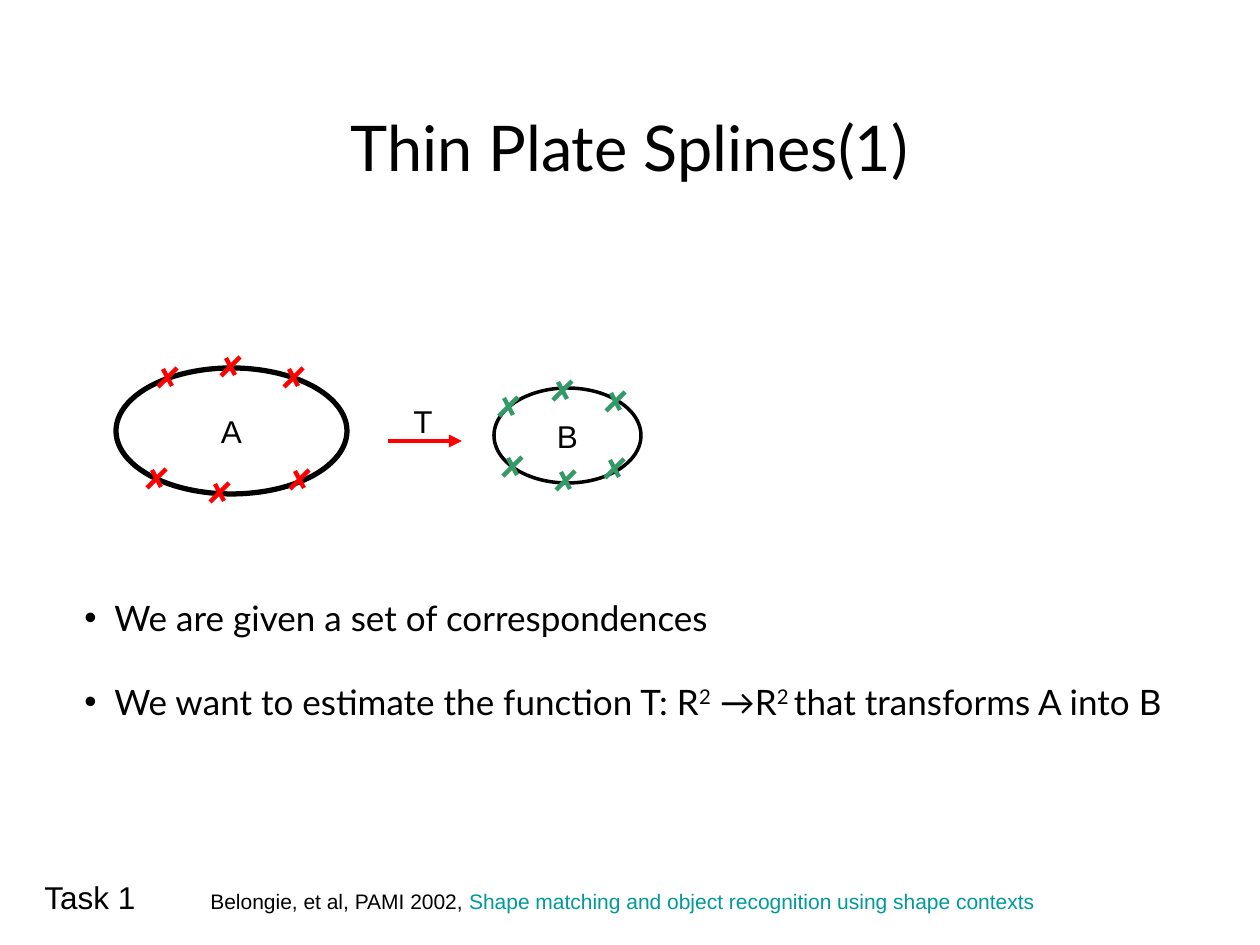
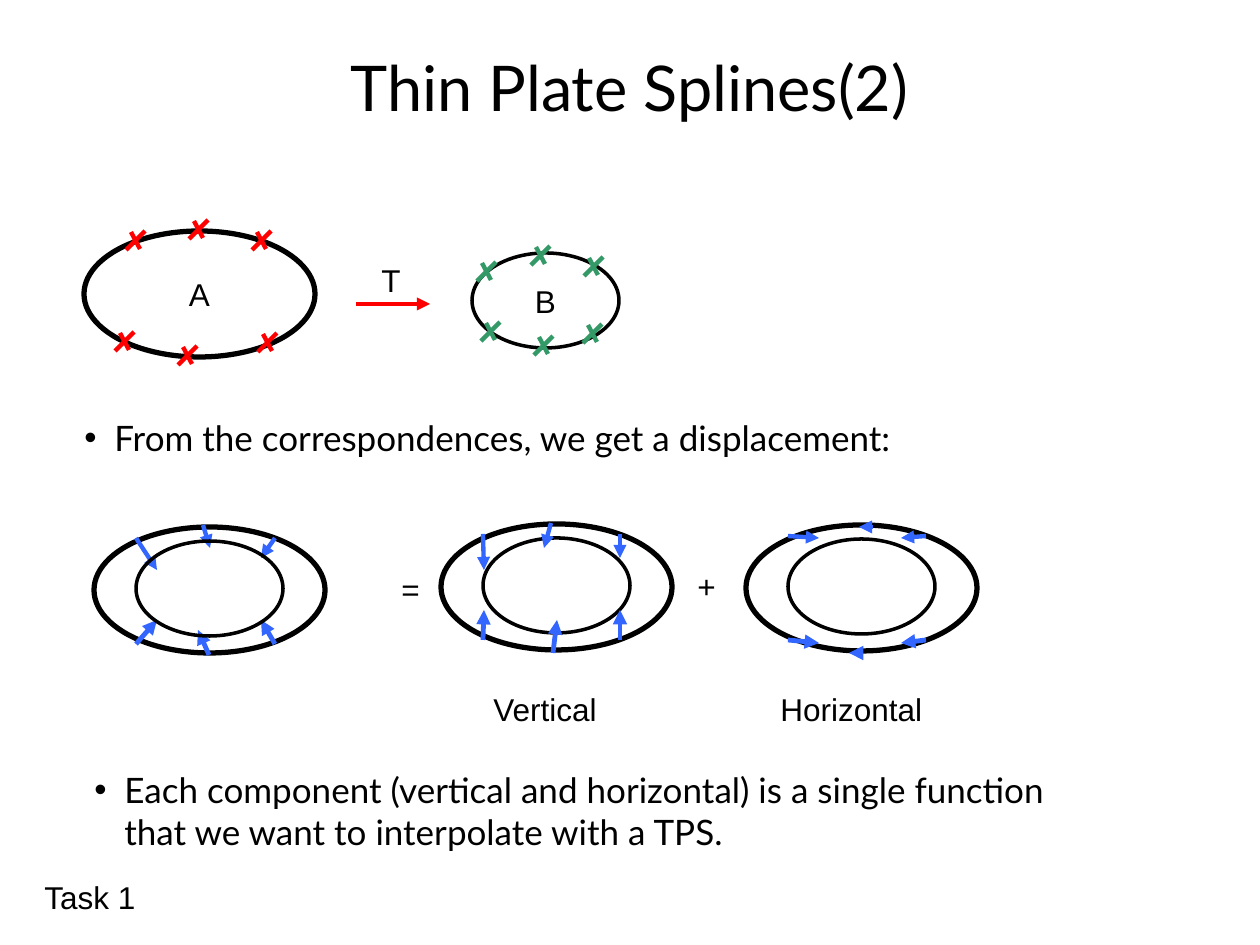
from lxml import etree
from pptx import Presentation
from pptx import util as u
from pptx.dml.color import RGBColor
from pptx.enum import shapes, text
from pptx.oxml.ns import qn

SCALE = 914400 / 126
BLACK, RED, GREEN, BLUE, TEAL = "000000", "FF0000", "339966", "3366FF", "009999"
SANS, LATO = "Arial", "Lato"

OUTER_SIZE = (231, 126)
INNER_SIZE = (147, 95)
CROSSES_A = [(42, 0), (105, -11), (168, 0), (31, 101), (94, 115), (174, 102)]
CROSSES_B = [(5, 9), (59, -7), (112, 4), (111, 71), (62, 83), (9, 69)]

FULL_MOVES = [(42, 11, 63, 43), (109, -2, 116, 21), (181, 11, 167, 31),
              (42, 117, 63, 93), (115, 128, 104, 103), (181, 117, 167, 93)]
VERTICAL_MOVES = [(42, 10, 43, 46), (110, -1, 103, 24), (179, 10, 179, 34),
                  (42, 116, 43, 86), (112, 129, 116, 96), (179, 116, 179, 86)]
HORIZONTAL_MOVES = [(42, 11, 73, 13), (127, 2, 113, 2), (180, 11, 155, 13),
                    (42, 115, 73, 118), (113, 128, 103, 128), (180, 115, 155, 118)]


def px(*lengths):
    return [u.Emu(round(length * SCALE)) for length in lengths]


def paint(target, color):
    target.rgb = RGBColor.from_string(color)


def write(para, words, size=18, font=SANS, color=BLACK, raised=False):
    span = para.add_run()
    span.text = words
    span.font.size = u.Pt(size)
    span.font.name = font
    paint(span.font.color, color)
    if raised:
        span.font._element.set("baseline", "30000")


def add_box(page, left, top, width, height):
    box = page.shapes.add_textbox(*px(left, top, width, height))
    box.text_frame.word_wrap = True
    return box.text_frame


def add_label(page, words, left, top, width, height=50, **style):
    para = add_box(page, left, top, width, height).paragraphs[0]
    write(para, words, **style)
    return para


def add_bullets(page, left, top, width, height, items):
    frame = add_box(page, left, top, width, height)
    for number, item in enumerate(items):
        para = frame.add_paragraph() if number else frame.paragraphs[0]
        if number:
            para.space_before = u.Pt(24)
        props = para._p.get_or_add_pPr()
        indent = px(30)[0]
        props.set("marL", str(indent))
        props.set("indent", str(-indent))
        etree.SubElement(props, qn("a:buFont"), typeface=SANS)
        etree.SubElement(props, qn("a:buChar"), char="•")
        for words, raised in item:
            if words == "\n":
                para.add_line_break()
            else:
                write(para, words, size=20, font=LATO, raised=raised)


def add_line(parent, ends, color, width=2.5, arrow=False):
    line = parent.shapes.add_connector(shapes.MSO_CONNECTOR.STRAIGHT, *px(*ends))
    line.line.width = u.Pt(width)
    paint(line.line.color, color)
    props = line._element.spPr
    if arrow:
        etree.SubElement(props.find(qn("a:ln")), qn("a:tailEnd"), type="triangle")
    etree.SubElement(props, qn("a:effectLst"))


def add_ellipse(page, left, top, size, width, name=""):
    ellipse = page.shapes.add_shape(shapes.MSO_SHAPE.OVAL, *px(left, top, *size))
    ellipse.shadow.inherit = False
    ellipse.fill.background()
    ellipse.line.width = u.Pt(width)
    paint(ellipse.line.color, BLACK)
    if name:
        frame = ellipse.text_frame
        frame.word_wrap = False
        frame.vertical_anchor = text.MSO_ANCHOR.MIDDLE
        frame.paragraphs[0].alignment = text.PP_ALIGN.CENTER
        write(frame.paragraphs[0], name)


def add_crosses(page, left, top, places, color):
    for across, down in places:
        x, y = left + across, top + down
        cross = page.shapes.add_group_shape()
        add_line(cross, (x + 5, y + 1, x + 14, y + 18), color)
        add_line(cross, (x, y + 19, x + 19, y), color)


def add_correspondences(page, left, top, b_across, b_down, t_down):
    b_left, b_top = left + b_across, top + b_down
    add_ellipse(page, left, top, OUTER_SIZE, 3, "A")
    add_ellipse(page, b_left, b_top, INNER_SIZE, 2, "B")
    add_line(page, (left + 272, top + 73, left + 346, top + 73), RED, arrow=True)
    add_crosses(page, left, top, CROSSES_A, RED)
    add_crosses(page, b_left, b_top, CROSSES_B, GREEN)
    add_label(page, "T", left + 285, top + t_down, 44)


def add_displacement(page, left, top, moves, inner_in_front=False):
    inner = (page, left + 42, top + 14, INNER_SIZE, 2)
    if not inner_in_front:
        add_ellipse(*inner)
    add_ellipse(page, left, top, OUTER_SIZE, 3)
    for number, (x1, y1, x2, y2) in enumerate(moves):
        ends = (left + x1, top + y1, left + x2, top + y2)
        add_line(page, ends, BLUE, 2.5 if number < 3 else 2.75, arrow=True)
    if inner_in_front:
        add_ellipse(*inner)


def add_page(deck, heading, top):
    page = deck.slides.add_slide(deck.slide_layouts[5])
    title = page.shapes.title
    title.left, title.top, title.width, title.height = px(320, top, 619, 88)
    frame = title.text_frame
    frame.auto_size = text.MSO_AUTO_SIZE.NONE
    frame.vertical_anchor = text.MSO_ANCHOR.TOP
    frame.paragraphs[0].alignment = text.PP_ALIGN.CENTER
    write(frame.paragraphs[0], heading, size=36, font=LATO)
    add_label(page, "Task 1", 32, 872, 126)
    return page


def build_problem(deck):
    page = add_page(deck, "Thin Plate Splines(1)", 102)
    add_correspondences(page, 116, 368, b_across=378, b_down=20, t_down=28)
    add_bullets(page, 72, 590, 1138, 139, [
        [("We are given a set of correspondences", False)],
        [("We want to estimate the function T: R", False), ("2", True),
         (" →R", False), ("2 ", True), ("that transforms A into B", False)],
    ])
    source = add_label(page, "Belongie, et al, PAMI 2002, ", 198, 882, 857, 38, size=12)
    write(source, "Shape matching and object recognition using shape contexts",
          size=12, color=TEAL)


def build_displacement(deck):
    page = add_page(deck, "Thin Plate Splines(2)", 42)
    add_correspondences(page, 84, 231, b_across=388, b_down=22, t_down=24)
    add_bullets(page, 72, 410, 878, 55,
                [[("From the correspondences, we get a displacement:", False)]])
    add_displacement(page, 94, 527, FULL_MOVES, inner_in_front=True)
    add_displacement(page, 441, 524, VERTICAL_MOVES)
    add_displacement(page, 746, 525, HORIZONTAL_MOVES)
    add_label(page, "=", 389, 564, 44)
    add_label(page, "+", 685, 561, 44)
    add_label(page, "Vertical", 481, 684, 150)
    add_label(page, "Horizontal", 768, 684, 190)
    add_bullets(page, 82, 762, 1028, 97, [[
        ("Each component (vertical and horizontal) is a single function", False),
        ("\n", False),
        ("that we want to interpolate with a TPS.", False),
    ]])


def main():
    deck = Presentation()
    deck.slide_width, deck.slide_height = px(1260, 945)
    build_problem(deck)
    build_displacement(deck)
    deck.save("out.pptx")


if __name__ == "__main__":
    main()
